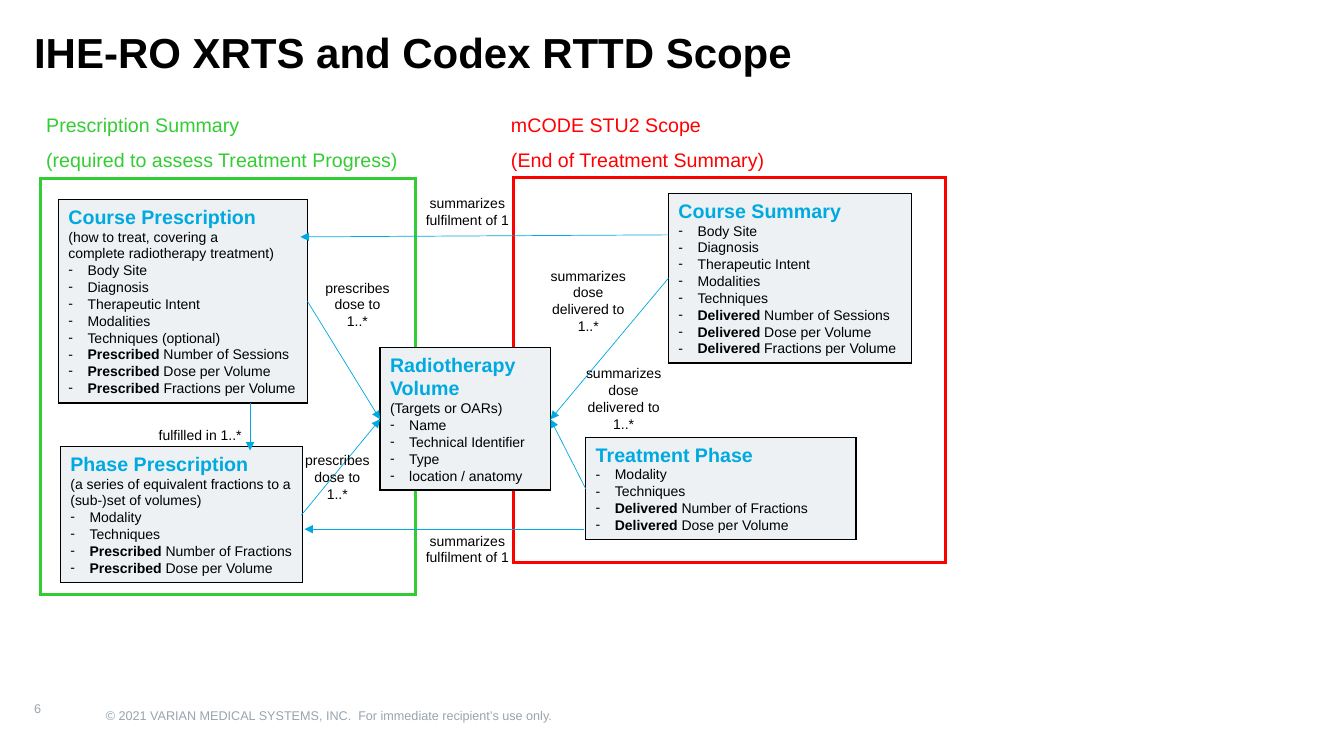
from lxml.etree import SubElement
from pptx import Presentation
from pptx.dml.color import RGBColor
from pptx.enum.shapes import MSO_CONNECTOR as Connector, MSO_SHAPE as Shape
from pptx.enum.text import MSO_ANCHOR as Anchor, PP_ALIGN as Align
from pptx.oxml.ns import qn
from pptx.util import Inches, Pt

BLACK, WHITE, BLUE, PALE, GRAY = "000000", "FFFFFF", "00A9E0", "EDF1F3", "98A4AE"
GREEN, RED = "33CC33", "FF0000"


def color(value):
    return RGBColor.from_string(value)


def add_lines(frame, lines, size, ink, bold=False, **paragraph_format):
    """Write one paragraph per line; "- " starts a bullet, "|" ends a bold lead."""
    frame.word_wrap = True
    for line in lines:
        first = frame.paragraphs[0]
        paragraph = frame.add_paragraph() if first.runs else first
        if line.startswith("- "):
            properties = paragraph._p.get_or_add_pPr()
            properties.set("marL", str(Inches(0.19)))
            properties.set("indent", str(-Inches(0.19)))
            SubElement(properties, qn("a:buFont"), typeface="Arial")
            SubElement(properties, qn("a:buChar"), char="-")
            line = line[2:]
        for name, value in ({"alignment": Align.LEFT} | paragraph_format).items():
            setattr(paragraph, name, value)
        lead, _, rest = line.rpartition("|")
        for text, strong in ((lead, True), (rest, bold)):
            for index, piece in enumerate(text.split("\n")):
                if index:
                    paragraph.add_line_break()
                if piece:
                    run = paragraph.add_run()
                    run.text = piece
                    font = {"name": "Arial", "size": Pt(size), "bold": strong}
                    for name, value in font.items():
                        setattr(run.font, name, value)
                    run.font.color.rgb = color(ink)


presentation = Presentation()
presentation.slide_width = Inches(13.33)
presentation.slide_height = Inches(7.5)
slide = presentation.slides.add_slide(presentation.slide_layouts[6])
shapes = slide.shapes

# Title, page number, footer and scope headings
texts = [
    ((0.24, 0.27, 12.3, 0.68), "IHE-RO XRTS and Codex RTTD Scope", 30, BLACK,
     {"bold": True, "line_spacing": 0.9}),
    ((0.24, 6.82, 0.36, 0.42), "6", 9, GRAY, {}),
    ((1.05, 7.02, 8.8, 0.25),
     "© 2021 VARIAN MEDICAL SYSTEMS, INC.  For immediate recipient’s use only.",
     9, GRAY, {}),
    ((0.36, 0.95, 3.88, 0.53),
     "Prescription Summary\n(required to assess Treatment Progress)", 14, GREEN,
     {"line_spacing": 1.5}),
    ((4.97, 0.95, 4.93, 0.53), "mCODE STU2 Scope\n(End of Treatment Summary)",
     14, RED, {"line_spacing": 1.5}),
]
text_boxes = []
for place, text, size, ink, text_format in texts:
    text_box = shapes.add_textbox(*map(Inches, place))
    add_lines(text_box.text_frame, [text], size, ink, **text_format)
    text_boxes.append(text_box)
title, page_number, footer, prescription_heading, summary_heading = text_boxes
page_number.text_frame.vertical_anchor = Anchor.MIDDLE
for side in ("left", "right", "top", "bottom"):
    setattr(footer.text_frame, f"margin_{side}", 0)
summary_heading.fill.solid()
summary_heading.fill.fore_color.rgb = color(WHITE)

# Scope frames, then the entity boxes on top of them
boxes = [
    ((0.4, 1.77, 3.72, 4.13), GREEN, "", []),
    ((5.09, 1.76, 4.29, 3.82), RED, "", []),
    ((0.58, 1.98, 2.47, 2.02), BLACK, "Course Prescription", [
        "(how to treat, covering a", "complete radiotherapy treatment)",
        "- Body Site", "- Diagnosis", "- Therapeutic Intent", "- Modalities",
        "- Techniques (optional)", "- Prescribed| Number of Sessions",
        "- Prescribed| Dose per Volume", "- Prescribed |Fractions per Volume"]),
    ((6.63, 1.92, 2.41, 1.68), BLACK, "Course Summary", [
        "- Body Site", "- Diagnosis", "- Therapeutic Intent", "- Modalities",
        "- Techniques", "- Delivered| Number of Sessions",
        "- Delivered| Dose per Volume", "- Delivered| Fractions per Volume"]),
    ((5.81, 4.34, 2.68, 1.01), BLACK, "Treatment Phase", [
        "- Modality", "- Techniques", "- Delivered| Number of Fractions",
        "- Delivered| Dose per Volume"]),
    ((0.6, 4.43, 2.4, 1.35), BLACK, "Phase Prescription", [
        "(a series of equivalent fractions to a (sub-)set of volumes)",
        "- Modality", "- Techniques", "- Prescribed |Number of Fractions",
        "- Prescribed |Dose per Volume"]),
    ((3.77, 3.45, 1.69, 1.41), BLACK, "Radiotherapy Volume", [
        "(Targets or OARs)", "- Name", "- Technical Identifier", "- Type",
        "- location / anatomy"]),
]
for place, outline, heading, details in boxes:
    box = shapes.add_shape(Shape.RECTANGLE, *map(Inches, place))
    box.shadow.inherit = False
    box.line.color.rgb = color(outline)
    box.line.width = Pt(1 if heading else 2.25)
    SubElement(box.line._get_or_add_ln(), qn("a:miter"), lim="800000")
    if heading:
        box.fill.solid()
        box.fill.fore_color.rgb = color(PALE)
        box.text_frame.vertical_anchor = Anchor.TOP
        add_lines(box.text_frame, [heading], 14, BLUE, bold=True)
        add_lines(box.text_frame, details, 10, BLACK)
    else:
        box.fill.background()

# Relations between the entities
arrows = [
    (6.63, 2.33, 2.98, 2.35),
    (5.79, 5.25, 3.02, 5.25),
    (2.48, 4, 2.48, 4.47),
    (6.63, 2.76, 5.46, 4.16),
    (5.81, 4.85, 5.46, 4.16),
    (2.99, 5.11, 3.77, 4.16),
    (3.05, 2.99, 3.77, 4.16),
]
for ends in arrows:
    arrow = shapes.add_connector(Connector.STRAIGHT, *map(Inches, ends))
    arrow.line.color.rgb = color(BLUE)
    arrow.line.width = Pt(0.5)
    SubElement(arrow.line._get_or_add_ln(), qn("a:tailEnd"), type="triangle")
    SubElement(arrow._element.spPr, qn("a:effectLst"))

fulfilment = ["summarizes fulfilment of 1"]
delivered = ["summarizes dose delivered to", "1..*"]
prescribes = ["prescribes dose to", "1..*"]
labels = [
    ((1.33, 4.18, 1.31, 0.27), ["fulfilled in 1..*"]),
    ((4.1, 5.23, 1.07, 0.44), fulfilment),
    ((4.1, 1.88, 1.07, 0.44), fulfilment),
    ((5.65, 3.57, 1.07, 0.77), delivered),
    ((5.3, 2.6, 1.07, 0.77), ["summarizes dose delivered to 1..*"]),
    ((3.09, 2.72, 0.91, 0.61), prescribes),
    ((2.89, 4.43, 0.91, 0.61), prescribes),
]
for place, lines in labels:
    label = shapes.add_textbox(*map(Inches, place))
    add_lines(label.text_frame, lines, 10, BLACK, alignment=Align.CENTER)

presentation.save("out.pptx")
